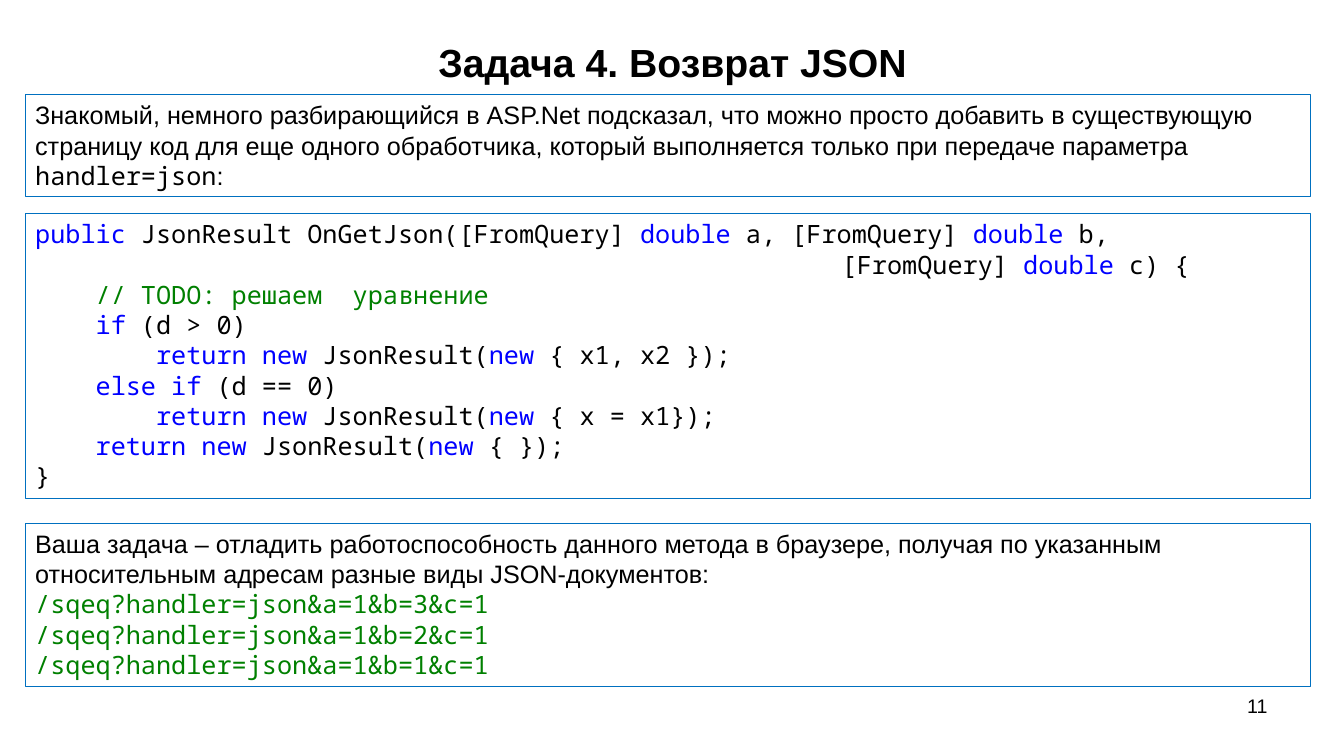
import pptx
import pptx.util
import pptx.dml.color
import pptx.enum.shapes
import pptx.enum.text
import pptx.oxml
import pptx.oxml.ns

SANS = "Arial"
MONO = "Noto Sans Mono"
BLACK, BLUE, GREEN, EDGE = "000000", "0000FF", "008000", "0070C0"
Inches = pptx.util.Inches
ALIGN = pptx.enum.text.PP_ALIGN
ANCHOR = pptx.enum.text.MSO_ANCHOR

CODE = [
    "|public |JsonResult OnGetJson([FromQuery] |double| a, [FromQuery] |double| b,",
    "\t[FromQuery] |double| c) {",
    "    // TODO: решаем  уравнение",
    "    |if| (d > 0)",
    "        |return new |JsonResult(|new| { x1, x2 });",
    "    |else if| (d == 0)",
    "        |return new |JsonResult(|new| { x = x1});",
    "    |return new |JsonResult(|new| { });",
    "}",
]
HINT = ("Знакомый, немного разбирающийся в ASP.Net подсказал, что можно просто "
        "добавить в существующую страницу код для еще одного обработчика, "
        "который выполняется только при передаче параметра ")
TASK = ("Ваша задача – отладить работоспособность данного метода в браузере, "
        "получая по указанным относительным адресам разные виды JSON-документов:")


def color(code):
    return pptx.dml.color.RGBColor.from_string(code)


def style(font, name, size, tint, bold=False):
    font.name = name
    font.size = pptx.util.Pt(size)
    font.bold = bold
    font.color.rgb = color(tint)


def set_tab(par, pos):
    props = par._p.get_or_add_pPr()
    space = pptx.oxml.ns.nsdecls("a")
    props.append(pptx.oxml.parse_xml(
        f'<a:tabLst {space}><a:tab pos="{Inches(pos)}" algn="l"/></a:tabLst>'))


def split_code(line):
    if line.lstrip().startswith("//"):
        return [(line, MONO, GREEN)]
    return [(part, MONO, BLUE if i % 2 else BLACK)
            for i, part in enumerate(line.split("|")) if part]


def add_label(slide, place, text, size, align, anchor, bold=False):
    box = slide.shapes.add_textbox(*map(Inches, place))
    frame = box.text_frame
    frame.word_wrap = True
    frame.vertical_anchor = anchor
    frame.text = text
    par = frame.paragraphs[0]
    par.alignment = align
    style(par.runs[0].font, SANS, size, BLACK, bold)


def add_panel(slide, top, height, lines):
    kind = pptx.enum.shapes.MSO_SHAPE.RECTANGLE
    box = slide.shapes.add_shape(
        kind, Inches(0.25), Inches(top), Inches(12.75), Inches(height))
    box.shadow.inherit = False
    box.fill.background()
    box.line.color.rgb = color(EDGE)
    box.line.width = pptx.util.Pt(0.75)
    frame = box.text_frame
    frame.word_wrap = True
    frame.auto_size = pptx.enum.text.MSO_AUTO_SIZE.SHAPE_TO_FIT_TEXT
    frame.vertical_anchor = ANCHOR.TOP
    for i, line in enumerate(lines):
        par = frame.add_paragraph() if i else frame.paragraphs[0]
        par.alignment = ALIGN.LEFT
        if line[0][0].startswith("\t"):
            set_tab(par, 8)
        for text, name, tint in line:
            run = par.add_run()
            run.text = text
            style(run.font, name, 18, tint)


def main():
    deck = pptx.Presentation()
    deck.slide_width = Inches(13.33)
    deck.slide_height = Inches(7.5)
    slide = deck.slides.add_slide(deck.slide_layouts[6])

    add_label(slide, (2.17, 0.3, 9, 0.62), "Задача 4. Возврат JSON", 28,
              ALIGN.CENTER, ANCHOR.MIDDLE, True)
    add_label(slide, (9.56, 6.83, 3.11, 0.52), "11", 14,
              ALIGN.RIGHT, ANCHOR.TOP)

    hint = [(HINT, SANS, BLACK), ("handler=json", MONO, BLACK),
            (":", SANS, BLACK)]
    links = [[(f"/sqeq?handler=json&a=1&b={b}&c=1", MONO, GREEN)]
             for b in (3, 2, 1)]
    add_panel(slide, 0.94, 1.01, [hint])
    add_panel(slide, 2.12, 2.83, [split_code(line) for line in CODE])
    add_panel(slide, 5.19, 1.62, [[(TASK, SANS, BLACK)]] + links)

    deck.save("out.pptx")


if __name__ == "__main__":
    main()
